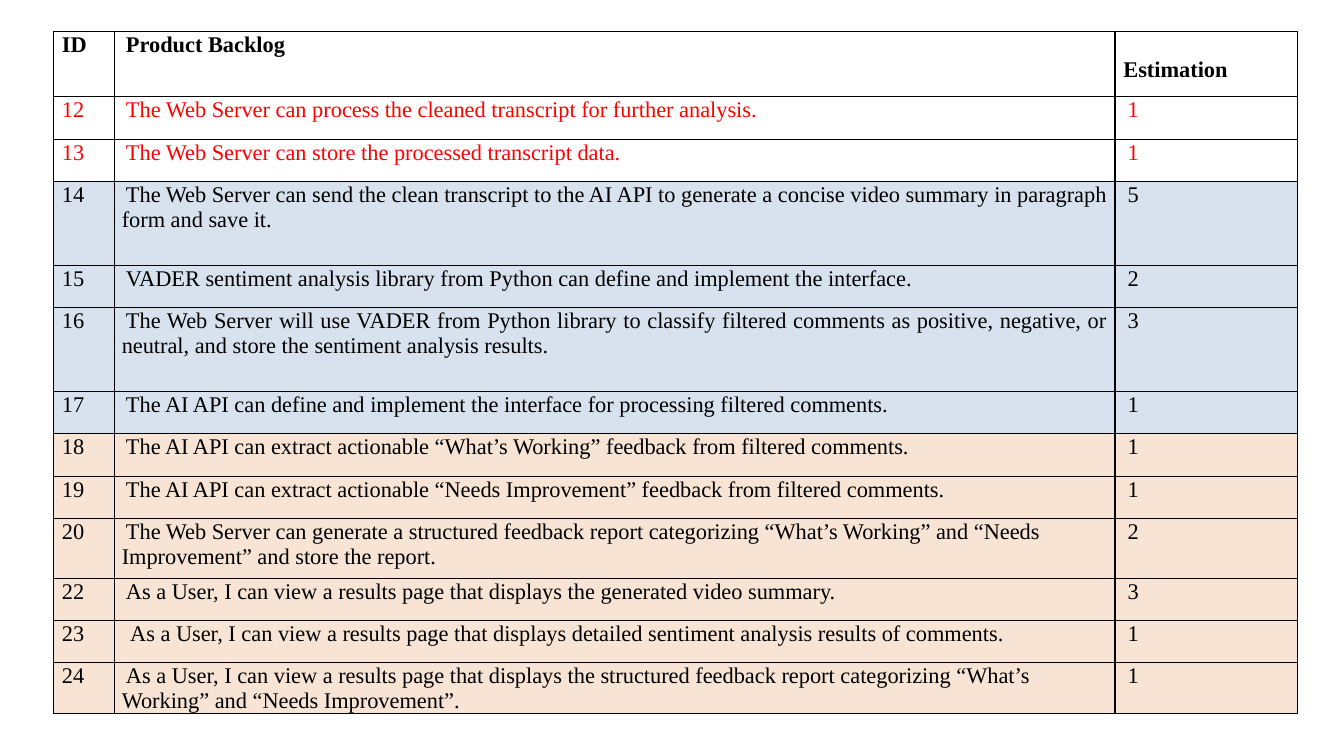
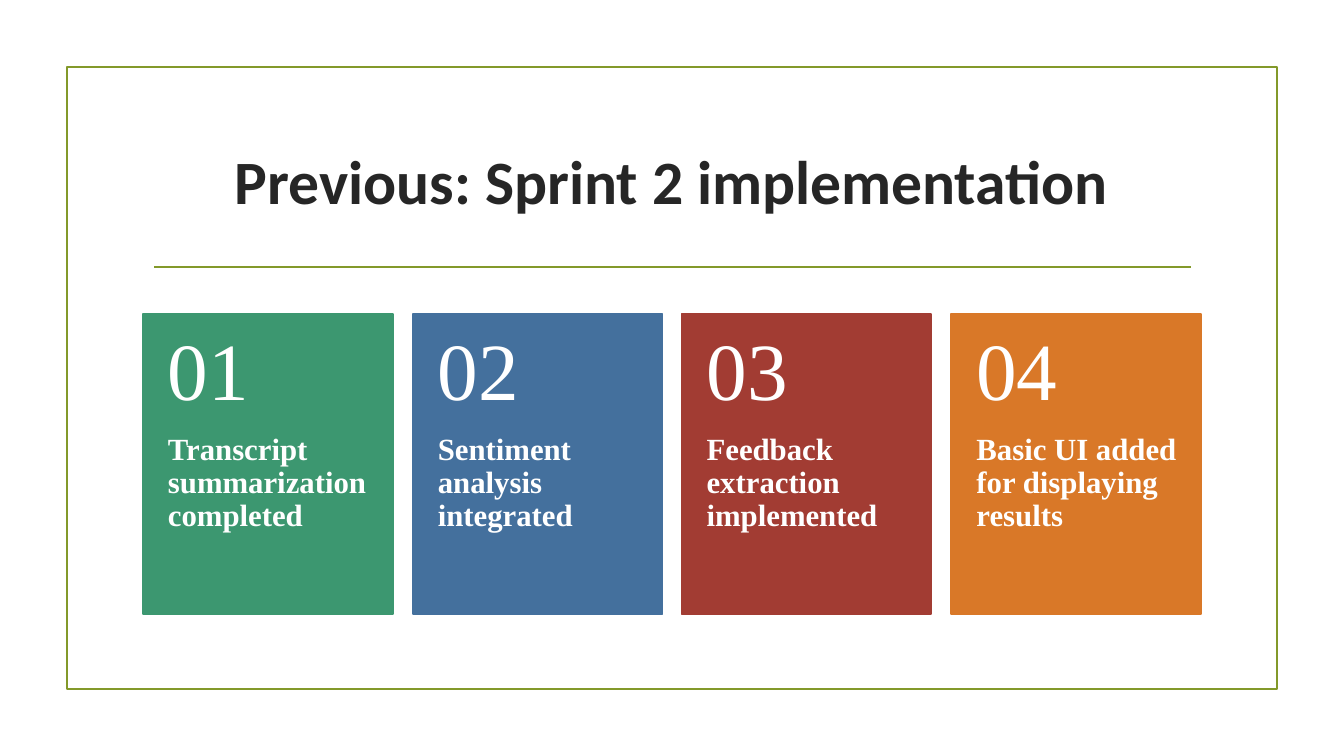
"""Build a product backlog table and a sprint review slide."""
from dataclasses import dataclass

from lxml import etree
from pptx import Presentation
from pptx.dml.color import RGBColor
from pptx.enum.shapes import MSO_CONNECTOR, MSO_SHAPE
from pptx.enum.text import MSO_ANCHOR, PP_ALIGN
from pptx.oxml.ns import qn
from pptx.util import Emu, Pt

SCALE = 9525
WIDE, HIGH = 1280, 720
LEFT, CENTER, JUST = PP_ALIGN.LEFT, PP_ALIGN.CENTER, PP_ALIGN.JUSTIFY
TOP, MIDDLE = MSO_ANCHOR.TOP, MSO_ANCHOR.MIDDLE
RECT, LINE = MSO_SHAPE.RECTANGLE, MSO_CONNECTOR.STRAIGHT
SERIF, SANS = "Times New Roman", "Calibri"
BLACK, WHITE, RED = "000000", "FFFFFF", "FF0000"
INK, OLIVE, BLUE, PEACH = "262626", "83992A", "D7E2EE", "F7E4D4"


@dataclass(frozen=True)
class Style:
    font: str
    size: int
    color: str
    bold: bool = False
    align: PP_ALIGN = LEFT
    space: float = 1.0


@dataclass(frozen=True)
class Box:
    x: int
    y: int
    w: int
    h: int


@dataclass(frozen=True)
class Task:
    id: str
    text: str
    points: str
    high: int
    fill: str = PEACH
    color: str = BLACK
    align: PP_ALIGN = LEFT
    indent: int = 4


@dataclass(frozen=True)
class Card:
    text: str
    color: str


COLS = (58, 953, 174)
HEAD = ("ID", "Product Backlog", "Estimation")
HEAD_HIGH = 62
GRID = Box(51, 30, sum(COLS), 649)
TASKS = (
    Task("12", "The Web Server can process the cleaned transcript for further analysis.",
         "1", 41, WHITE, RED),
    Task("13", "The Web Server can store the processed transcript data.",
         "1", 40, WHITE, RED),
    Task("14", "The Web Server can send the clean transcript to the AI API to generate "
         "a concise video summary in paragraph form and save it.", "5", 80, BLUE),
    Task("15", "VADER sentiment analysis library from Python can define and implement "
         "the interface.", "2", 40, BLUE),
    Task("16", "The Web Server will use VADER from Python library to classify filtered "
         "comments as positive, negative, or neutral, and store the sentiment analysis "
         "results.", "3", 80, BLUE, align=JUST),
    Task("17", "The AI API can define and implement the interface for processing "
         "filtered comments.", "1", 40, BLUE),
    Task("18", "The AI API can extract actionable “What’s Working” feedback from "
         "filtered comments.", "1", 41),
    Task("19", "The AI API can extract actionable “Needs Improvement” feedback from "
         "filtered comments.", "1", 40),
    Task("20", "The Web Server can generate a structured feedback report categorizing "
         "“What’s Working” and “Needs Improvement” and store the report.", "2", 57),
    Task("22", "As a User, I can view a results page that displays the generated video "
         "summary.", "3", 40),
    Task("23", "As a User, I can view a results page that displays detailed sentiment "
         "analysis results of comments.", "1", 40, indent=8),
    Task("24", "As a User, I can view a results page that displays the structured "
         "feedback report categorizing “What’s Working” and “Needs Improvement”.",
         "1", 48),
)

TITLE = Style(SANS, 44, INK, True, CENTER)
COUNT = Style(SERIF, 58, WHITE, space=0.9)
LABEL = Style(SERIF, 22, WHITE, True, space=0.9)
DECK = Box(136, 299, 1008, 286)
CARD_WIDE, COUNT_HIGH = 238, 114
CARDS = (
    Card("Transcript summarization completed", "3C9770"),
    Card("Sentiment analysis integrated", "44709D"),
    Card("Feedback extraction implemented", "A23C33"),
    Card("Basic UI added for displaying results", "D97828"),
)


def px(n: int) -> Emu:
    """Turn pixels into EMU."""
    return Emu(n * SCALE)


def rgb(code: str) -> RGBColor:
    """Turn a hex string into a colour."""
    return RGBColor.from_string(code)


def place(box: Box) -> tuple:
    """Give left, top, width and height in EMU."""
    return px(box.x), px(box.y), px(box.w), px(box.h)


def write(part, text: str, style: Style):
    """Put one styled paragraph in a text frame."""
    para = part.paragraphs[0]
    para.text = text
    para.alignment = style.align
    para.line_spacing = style.space
    font = para.font
    font.name, font.size, font.bold = style.font, Pt(style.size), style.bold
    font.color.rgb = rgb(style.color)
    return para


def add_text(slide, box: Box, text: str, style: Style, anchor=TOP,
             pads=(10, 5, 10, 5)) -> None:
    """Add a wrapped text box."""
    part = slide.shapes.add_textbox(*place(box)).text_frame
    part.word_wrap = True
    part.vertical_anchor = anchor
    (part.margin_left, part.margin_top,
     part.margin_right, part.margin_bottom) = map(px, pads)
    write(part, text, style)


def add_rect(slide, box: Box, line: str, fill: str = ""):
    """Add a rectangle, filled when a fill is given."""
    shape = slide.shapes.add_shape(RECT, *place(box))
    shape.shadow.inherit = False
    shape.line.color.rgb = rgb(line)
    shape.line.width = Pt(1.25)
    if fill:
        shape.fill.solid()
        shape.fill.fore_color.rgb = rgb(fill)
    else:
        shape.fill.background()
    return shape


def add_rule(slide, x: int, y: int, end: int):
    """Add a level line."""
    rule = slide.shapes.add_connector(LINE, px(x), px(y), px(end), px(y))
    rule.line.color.rgb = rgb(OLIVE)
    rule.line.width = Pt(1.25)
    etree.SubElement(rule._element.spPr, qn("a:effectLst"))
    return rule


def add_frame(slide, layout) -> None:
    """Draw the frame and rule, and move them to the shared layout."""
    for shape in (add_rect(slide, Box(64, 64, 1152, 592), OLIVE),
                  add_rule(slide, 147, 254, 1134)):
        layout.shapes._spTree.append(shape._element)


def add_edge(cell) -> None:
    """Draw a thin black border round a cell."""
    props = cell._tc.get_or_add_tcPr()
    for spot, side in enumerate(("lnL", "lnR", "lnT", "lnB")):
        edge = etree.Element(qn(f"a:{side}"), w=str(Pt(1)))
        fill = etree.SubElement(edge, qn("a:solidFill"))
        etree.SubElement(fill, qn("a:srgbClr"), val=BLACK)
        props.insert(spot, edge)


def fill_cell(cell, text: str, style: Style, fill: str, left: int,
              indent: int = 0, top: int = 1) -> None:
    """Set the text, fill and border of a cell."""
    cell.margin_left, cell.margin_right = px(1), px(7)
    cell.margin_top, cell.margin_bottom = px(top), px(0)
    cell.fill.solid()
    cell.fill.fore_color.rgb = rgb(fill)
    add_edge(cell)
    props = write(cell.text_frame, text, style)._p.get_or_add_pPr()
    props.set("marL", str(px(left)))
    props.set("indent", str(px(indent)))


def add_backlog(slide) -> None:
    """Add the backlog table."""
    table = slide.shapes.add_table(len(TASKS) + 1, len(COLS), *place(GRID)).table
    table.first_row = table.horz_banding = False
    for col, wide in zip(table.columns, COLS):
        col.width = px(wide)
    table.rows[0].height = px(HEAD_HIGH)
    bold = Style(SERIF, 16, BLACK, True)
    for spot, (text, left, top) in enumerate(zip(HEAD, (7, 10, 7), (1, 1, 25))):
        fill_cell(table.cell(0, spot), text, bold, WHITE, left, top=top)
    for row, task in enumerate(TASKS, 1):
        table.rows[row].height = px(task.high)
        plain = Style(SERIF, 16, task.color)
        body = Style(SERIF, 16, task.color, align=task.align)
        fill_cell(table.cell(row, 0), task.id, plain, task.fill, 7)
        fill_cell(table.cell(row, 1), task.text, body, task.fill, 6, task.indent)
        fill_cell(table.cell(row, 2), task.points, plain, task.fill, 11)


def add_cards(slide) -> None:
    """Add the numbered cards at equal gaps."""
    step = (DECK.w - CARD_WIDE) / (len(CARDS) - 1)
    for spot, card in enumerate(CARDS):
        x = DECK.x + round(spot * step)
        add_rect(slide, Box(x, DECK.y, CARD_WIDE, DECK.h), card.color, card.color)
        add_text(slide, Box(x, DECK.y + COUNT_HIGH, CARD_WIDE, DECK.h - COUNT_HIGH),
                 card.text, LABEL, pads=(24, 0, 22, 34))
        add_text(slide, Box(x, DECK.y, CARD_WIDE, COUNT_HIGH), f"{spot + 1:02}",
                 COUNT, MIDDLE, (24, 17, 22, 17))


def main() -> None:
    """Build and save the slides."""
    show = Presentation()
    show.slide_width, show.slide_height = px(WIDE), px(HIGH)
    blank = show.slide_layouts[6]
    tasks, sprint = (show.slides.add_slide(blank) for _ in range(2))
    add_frame(tasks, blank)
    add_backlog(tasks)
    add_text(sprint, Box(136, 103, 1008, 137), "Previous: Sprint 2 implementation",
             TITLE, MIDDLE)
    add_cards(sprint)
    show.save("out.pptx")


if __name__ == "__main__":
    main()
